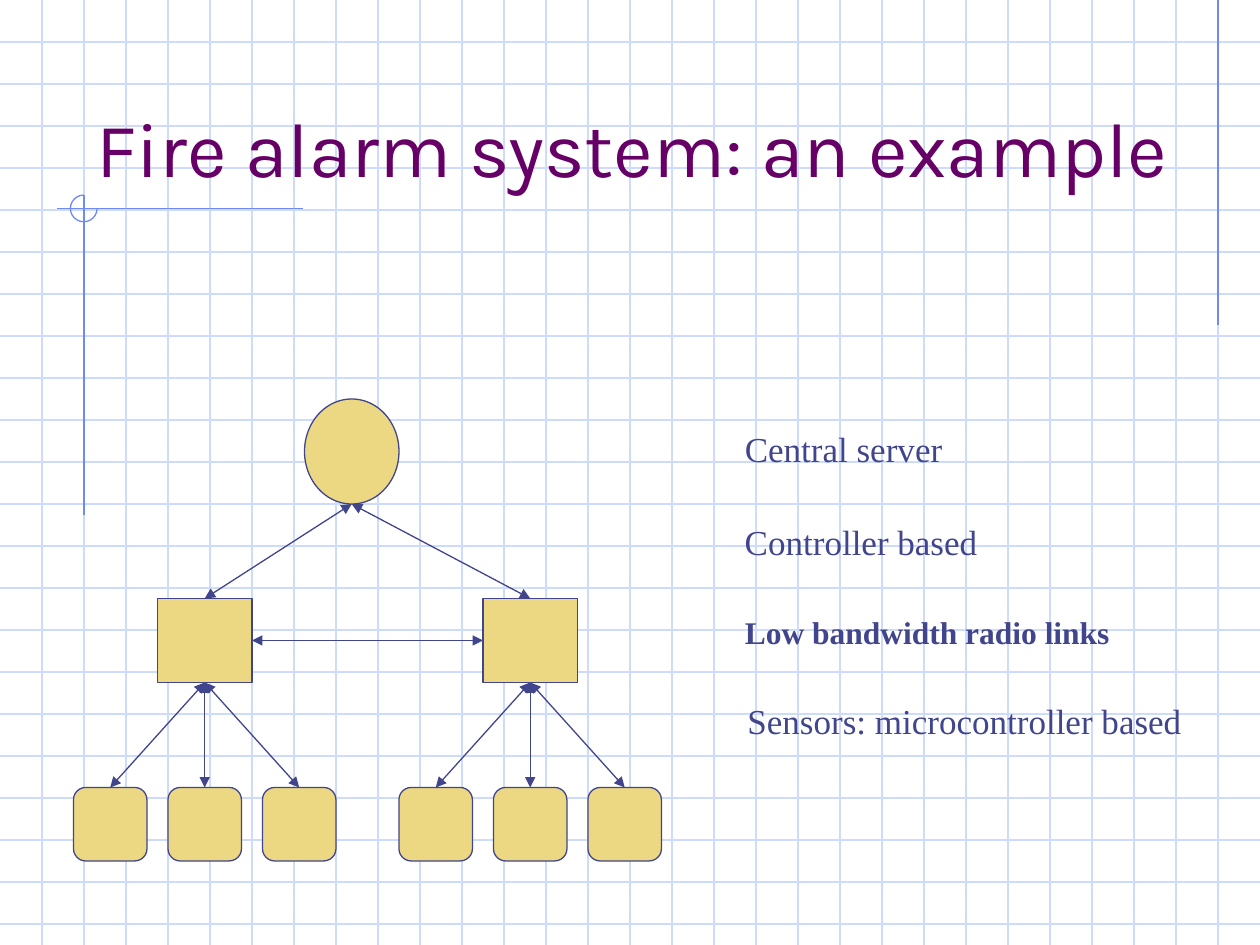
from lxml.etree import SubElement
from pptx import Presentation
from pptx.dml.color import RGBColor
from pptx.enum.shapes import MSO_CONNECTOR, MSO_SHAPE
from pptx.enum.text import MSO_ANCHOR
from pptx.oxml.ns import qn
from pptx.util import Pt

GRID_BLUE = RGBColor(0xCF, 0xDB, 0xFD)
ACCENT_BLUE = RGBColor(0x6F, 0x89, 0xF7)
PURPLE = RGBColor(0x66, 0x00, 0x66)
NAVY = RGBColor(0x40, 0x45, 0x8C)
SAND = RGBColor(0xEC, 0xD8, 0x82)

WIDTH, HEIGHT, GRID = 720, 540, 24
TITLE = "Fire alarm system: an example"
# text, left, top, width, size, bold
LABELS = [
    ("Central server", 418.5, 241, 140, 20, False),
    ("Controller based", 418.5, 294, 211, 20, False),
    ("Low bandwidth radio links", 418.5, 347, 229, 18, True),
    ("Sensors: microcontroller based", 420, 396, 281.5, 20, False),
]
# x1, y1, x2, y2
ACCENT_LINES = [
    (696, 0, 696, 186),
    (173, 119.25, 32.5, 119.25),
    (48, 111.5, 48, 294.5),
]
SERVER_X, SERVER_TOP, SERVER_W, SERVER_H = 201, 228, 54, 60
CONTROLLER_XS = [117, 303]
CONTROLLER_TOP, CONTROLLER_W, CONTROLLER_H = 342, 54, 48
SENSOR_TOP, SENSOR_SIZE, SENSOR_PITCH = 450, 42, 54

prs = Presentation()
prs.slide_width, prs.slide_height = Pt(WIDTH), Pt(HEIGHT)
slide = prs.slides.add_slide(prs.slide_layouts[6])
shapes = slide.shapes


def add_line(x1, y1, x2, y2, color):
    line = shapes.add_connector(MSO_CONNECTOR.STRAIGHT, Pt(x1), Pt(y1), Pt(x2), Pt(y2))
    line.line.color.rgb = color
    line.line.width = Pt(0.75)
    SubElement(line._element.spPr, qn("a:effectLst"))
    return line


def add_link(x1, y1, x2, y2):
    """Draw a double-headed arrow."""
    ln = add_line(x1, y1, x2, y2, NAVY).line._get_or_add_ln()
    for tag in ("a:headEnd", "a:tailEnd"):
        SubElement(ln, qn(tag), type="triangle")


def add_node(kind, center_x, y, w, h):
    sp = shapes.add_shape(kind, Pt(center_x - w / 2), Pt(y), Pt(w), Pt(h))
    sp.shadow.inherit = False
    sp.fill.solid()
    sp.fill.fore_color.rgb = SAND
    sp.line.color.rgb = NAVY
    sp.line.width = Pt(0.75)


def add_text(text, x, y, w, h, font, size, color, bold=False, anchor=MSO_ANCHOR.TOP):
    tf = shapes.add_textbox(Pt(x), Pt(y), Pt(w), Pt(h)).text_frame
    tf.word_wrap = True
    tf.vertical_anchor = anchor
    tf.text = text
    f = tf.paragraphs[0].runs[0].font
    f.name, f.size, f.bold = font, Pt(size), bold
    f.color.rgb = color


# Graph-paper background
for y in range(GRID, HEIGHT, GRID):
    add_line(0, y, WIDTH, y, GRID_BLUE)
for x in range(GRID, WIDTH, GRID):
    add_line(x, 0, x, HEIGHT, GRID_BLUE)
for ends in ACCENT_LINES:
    add_line(*ends, ACCENT_BLUE)

arc = shapes.add_shape(MSO_SHAPE.ARC, Pt(40.25), Pt(111.5), Pt(15.25), Pt(15.25))
arc.adjustments[0], arc.adjustments[1] = 0, 162  # 0 to 270 degrees
arc.shadow.inherit = False
arc.fill.background()
arc.line.color.rgb = ACCENT_BLUE
arc.line.width = Pt(0.75)

add_text(TITLE, 48, 24, 636, 90, "Karla", 44, PURPLE, anchor=MSO_ANCHOR.BOTTOM)

# Server, controllers and sensors
add_node(MSO_SHAPE.OVAL, SERVER_X, SERVER_TOP, SERVER_W, SERVER_H)
for x in CONTROLLER_XS:
    add_node(MSO_SHAPE.RECTANGLE, x, CONTROLLER_TOP, CONTROLLER_W, CONTROLLER_H)
    add_link(x, CONTROLLER_TOP, SERVER_X, SERVER_TOP + SERVER_H)
    for step in (-1, 0, 1):
        sensor_x = x + step * SENSOR_PITCH
        add_node(MSO_SHAPE.ROUNDED_RECTANGLE, sensor_x, SENSOR_TOP,
                 SENSOR_SIZE, SENSOR_SIZE)
        add_link(sensor_x, SENSOR_TOP, x, CONTROLLER_TOP + CONTROLLER_H)
left_x, right_x = CONTROLLER_XS
link_y = CONTROLLER_TOP + CONTROLLER_H / 2
add_link(left_x + CONTROLLER_W / 2, link_y, right_x - CONTROLLER_W / 2, link_y)

for text, x, y, w, size, bold in LABELS:
    add_text(text, x, y, w, 31.5, "Times New Roman", size, NAVY, bold)

prs.save("out.pptx")
